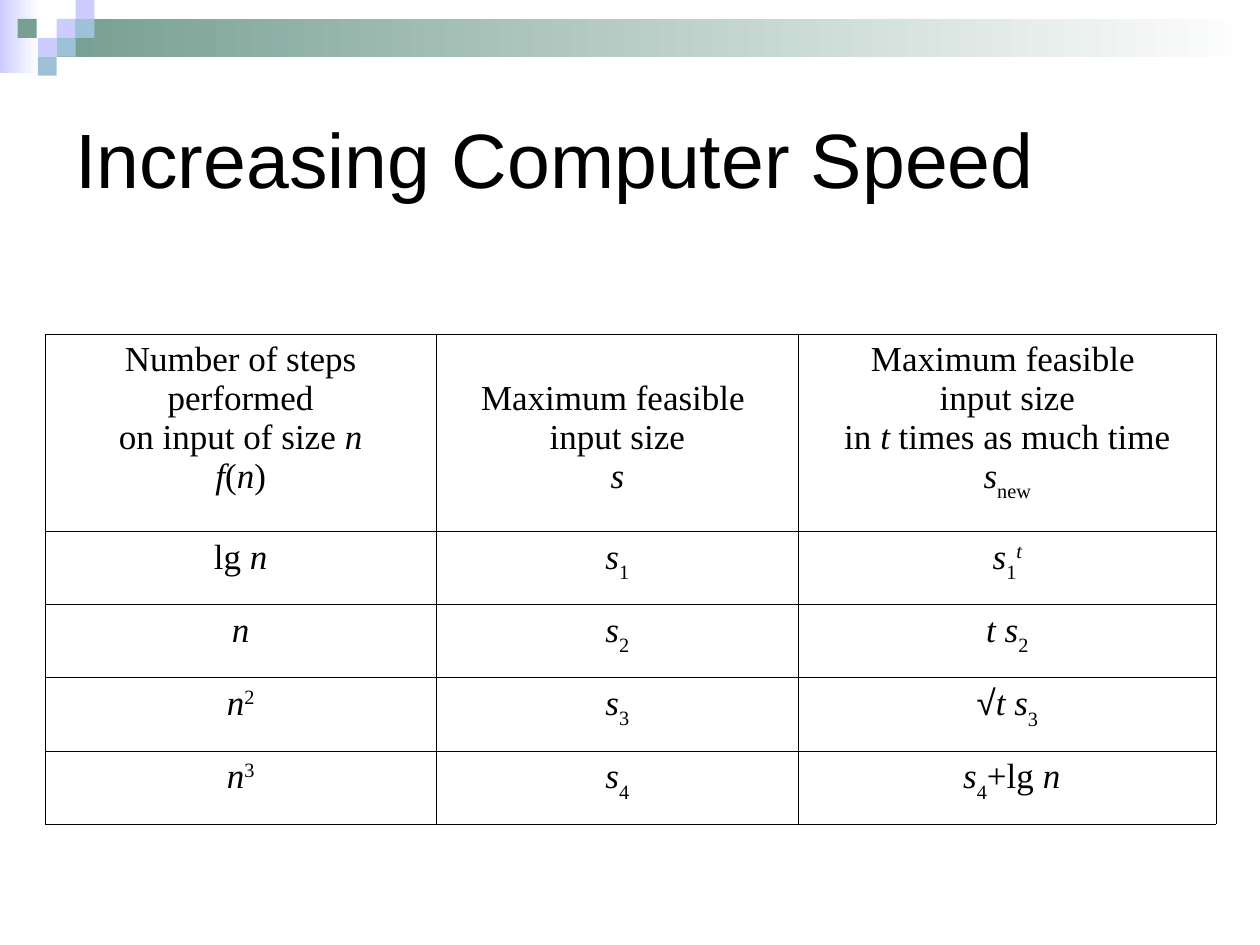
import pptx
import pptx.util
import pptx.dml.color
import pptx.enum.shapes
import pptx.enum.text
import pptx.oxml
import pptx.oxml.ns

Inches = pptx.util.Inches
RGBColor = pptx.dml.color.RGBColor
BLACK = RGBColor(0x00, 0x00, 0x00)
WHITE = RGBColor(0xFF, 0xFF, 0xFF)
LILAC = RGBColor(0xCC, 0xCC, 0xFF)
GREEN = RGBColor(0x77, 0x9F, 0x92)
BLUE = RGBColor(0x9D, 0xC2, 0xD7)

deck = pptx.Presentation()
deck.slide_width, deck.slide_height = Inches(10), Inches(7.5)
slide = deck.slides.add_slide(deck.slide_layouts[6])


def add_box(left, top, width, height, color, fade=False):
    box = slide.shapes.add_shape(
        pptx.enum.shapes.MSO_SHAPE.RECTANGLE,
        Inches(left), Inches(top), Inches(width), Inches(height))
    box.shadow.inherit = False
    box.line.fill.background()
    if fade:
        box.fill.gradient()
        box.fill.gradient_angle = 0
        for stop, tone in zip(box.fill.gradient_stops, (color, WHITE)):
            stop.color.rgb = tone
    else:
        box.fill.solid()
        box.fill.fore_color.rgb = color


# Fading bands and small squares at the top
add_box(0, 0, 0.31, 0.58, LILAC, fade=True)
add_box(0.45, 0.15, 9.55, 0.3, GREEN, fade=True)
SIDE = 0.15
for left, row, color in [
    (0.45, 1, LILAC), (0.6, 0, LILAC), (0.6, 1, BLUE), (0.3, 2, LILAC),
    (0.14, 1, GREEN), (0.45, 2, BLUE), (0.3, 3, BLUE),
]:
    add_box(left, row * SIDE, SIDE, SIDE, color)

# Title
title = slide.shapes.add_textbox(Inches(0.5), Inches(0.5), Inches(9), Inches(1.5))
frame = title.text_frame
frame.word_wrap = True
frame.vertical_anchor = pptx.enum.text.MSO_ANCHOR.MIDDLE
para = frame.paragraphs[0]
para.text = "Increasing Computer Speed"
para.font.name, para.font.size = "Arial", pptx.util.Pt(44)
para.font.color.rgb = BLACK

# Table text: rows, cells, paragraphs, then runs of (text, style)
# Style letters: i italic, + superscript, - subscript, a Arial
ROWS = [
    [
        [[("Number of steps performed", "")],
         [("on input of size ", ""), ("n", "i")],
         [("f", "i"), ("(", ""), ("n", "i"), (")", "")]],
        [[("Maximum feasible ", "")], [("input size", "")], [("s", "i")]],
        [[("Maximum feasible ", "")], [("input size", "")],
         [("in ", ""), ("t", "i"), (" times as much time", "")],
         [("s", "i"), ("new", "-")]],
    ],
    [[[("lg ", ""), ("n", "i")]],
     [[("s", "i"), ("1", "-")]],
     [[("s", "i"), ("1", "-"), ("t", "i+")]]],
    [[[("n", "i")]],
     [[("s", "i"), ("2", "-")]],
     [[("t s", "i"), ("2", "-")]]],
    [[[("n", "i"), ("2", "+")]],
     [[("s", "i"), ("3", "-")]],
     [[("√", "a"), ("t s", "i"), ("3", "-")]]],
    [[[("n", "i"), ("3", "+")]],
     [[("s", "i"), ("4", "-")]],
     [[(" s", "i"), ("4", "-"), ("+lg ", ""), ("n", "i")]]],
]
WIDTHS = [3.1, 2.88, 3.31]
HEIGHTS = [1.57] + [0.58] * 4

table = slide.shapes.add_table(
    len(ROWS), len(WIDTHS), Inches(0.36), Inches(2.65),
    Inches(sum(WIDTHS)), Inches(sum(HEIGHTS))).table
table.first_row = table.horz_banding = False
for col, width in zip(table.columns, WIDTHS):
    col.width = Inches(width)
for row, height in zip(table.rows, HEIGHTS):
    row.height = Inches(height)


def fill_cell(cell, paras):
    cell.fill.background()
    props = cell._tc.get_or_add_tcPr()
    for spot, edge in enumerate(("lnL", "lnR", "lnT", "lnB")):
        props.insert(spot, pptx.oxml.parse_xml(
            f'<a:{edge} {pptx.oxml.ns.nsdecls("a")} w="{pptx.util.Pt(0.45)}">'
            f'<a:solidFill><a:srgbClr val="{BLACK}"/></a:solidFill></a:{edge}>'))
    frame = cell.text_frame
    for num, runs in enumerate(paras):
        para = frame.add_paragraph() if num else frame.paragraphs[0]
        para.alignment = pptx.enum.text.PP_ALIGN.CENTER
        for text, style in runs:
            run = para.add_run()
            run.text = text
            font = run.font
            font.name = "Arial" if "a" in style else "Times New Roman"
            font.size = pptx.util.Pt(20)
            font.color.rgb = BLACK
            font.italic = "i" in style
            if "+" in style or "-" in style:
                shift = 30000 if "+" in style else -30000
                run._r.get_or_add_rPr().set("baseline", str(shift))


for row, cells in zip(table.rows, ROWS):
    for cell, paras in zip(row.cells, cells):
        fill_cell(cell, paras)

# The middle heading starts one line lower
table.cell(0, 1).margin_top = Inches(0.36)

deck.save("out.pptx")
